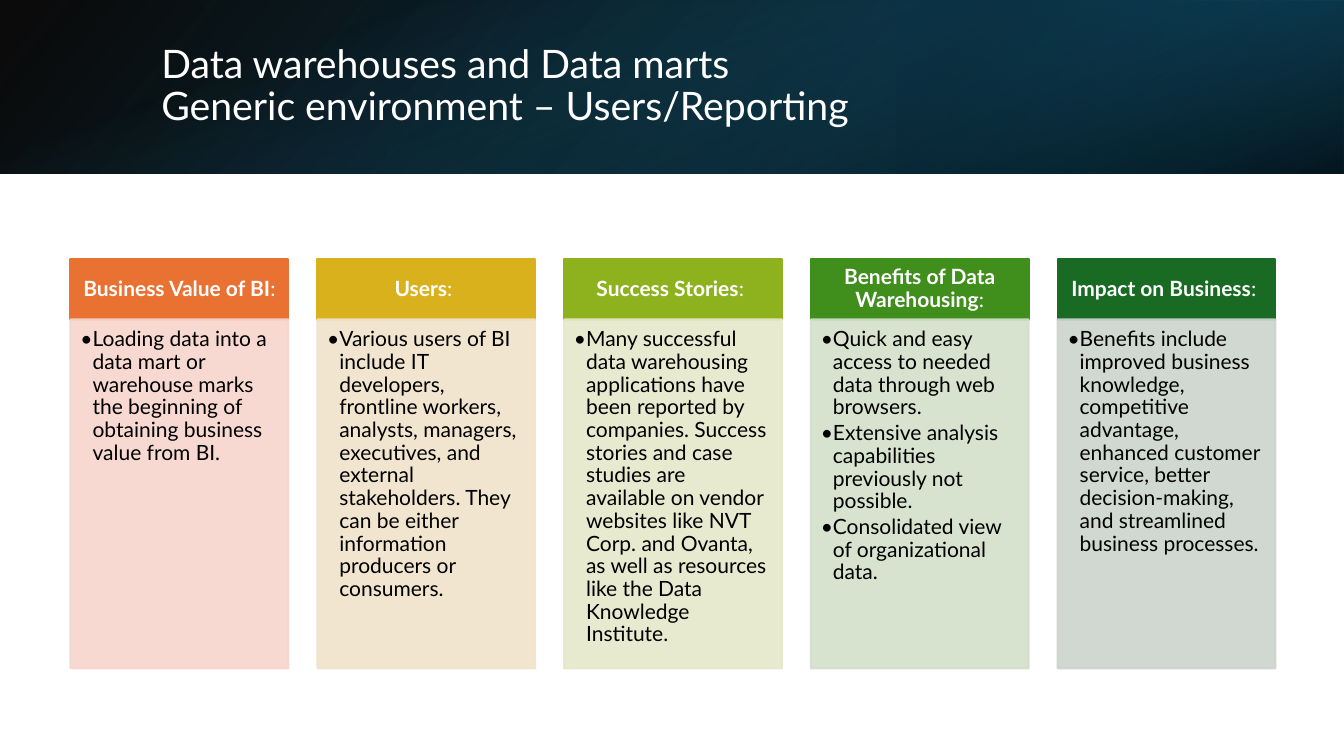
from dataclasses import dataclass
from lxml.etree import SubElement
from pptx import Presentation
from pptx.dml.color import RGBColor
from pptx.enum.shapes import MSO_SHAPE
from pptx.enum.text import MSO_ANCHOR, MSO_AUTO_SIZE, PP_ALIGN
from pptx.oxml.ns import qn
from pptx.util import Inches, Pt


@dataclass
class Theme:
    font: str = "Lato"
    light: str = "FFFFFF"
    dark: str = "000000"
    title_size: int = 28
    text_size: int = 15
    navy: str = "104862"
    deep: str = "0B3041"
    teal: str = "156082"
    headers: tuple = ("E97132", "D8B11D", "8EB21E", "408E1C", "196B24")
    bodies: tuple = ("F7D5CE", "F0E3CB", "E5E8CA", "D3DFCA", "CCD4CD")


theme = Theme()


def add_rectangle(left, top, width, height):
    shape = slide.shapes.add_shape(
        MSO_SHAPE.RECTANGLE, Inches(left), Inches(top), Inches(width), Inches(height))
    shape.shadow.inherit = False
    return shape


def format_font(font, size, color, bold=False):
    for name, value in {"name": theme.font, "size": Pt(size), "bold": bold}.items():
        setattr(font, name, value)
    font.color.rgb = RGBColor.from_string(color)


presentation = Presentation()
presentation.slide_width = Inches(13.33)
presentation.slide_height = Inches(7.5)
slide = presentation.slides.add_slide(presentation.slide_layouts[5])

banner_layers = [
    ((0, 0, 13.33, 1.72), 0, True, 140, [(0, theme.dark, 96), (100, theme.navy, 100)]),
    ((8.89, 0, 4.44, 1.72), 180, True, 320, [(19, theme.deep, 68), (100, theme.teal, 79)]),
    ((5.8, -5.8, 1.72, 13.33), 90, False, 340, [(23, theme.teal, 0), (99, theme.dark, 74)]),
]
for box, rotation, flipped, angle, stops in banner_layers:
    layer = add_rectangle(*box)
    layer.line.fill.background()
    layer.rotation = rotation
    properties = layer._element.spPr
    if flipped:
        properties.xfrm.set("flipH", "1")
    gradient = SubElement(properties, qn("a:gradFill"))
    properties.insert(2, gradient)
    stop_list = SubElement(gradient, qn("a:gsLst"))
    for position, color, opacity in stops:
        stop = SubElement(stop_list, qn("a:gs"), pos=str(position * 1000))
        color_element = SubElement(stop, qn("a:srgbClr"), val=color)
        SubElement(color_element, qn("a:alpha"), val=str(opacity * 1000))
    SubElement(gradient, qn("a:lin"), ang=str(angle * 60000), scaled="0")

title = slide.shapes.title
slide.shapes._spTree.append(title._element)
title_box = {"left": 1.5, "top": 0.38, "width": 10.98, "height": 0.96}
for name, value in title_box.items():
    setattr(title, name, Inches(value))
title.text_frame.text = "Data warehouses and Data marts\vGeneric environment – Users/Reporting"
title.text_frame.auto_size = MSO_AUTO_SIZE.NONE
title.text_frame.vertical_anchor = MSO_ANCHOR.MIDDLE
paragraph = title.text_frame.paragraphs[0]
paragraph.alignment = PP_ALIGN.LEFT
paragraph.line_spacing = 0.9
for run in paragraph.runs:
    format_font(run.font, theme.title_size, theme.light)

columns = [
    ("Business Value of BI", ":", [
        "Loading data into a data mart or warehouse marks the beginning of obtaining "
        "business value from BI."]),
    ("Users", ": ", [
        "Various users of BI include IT developers, frontline workers, analysts, managers, "
        "executives, and external stakeholders. They can be either information producers "
        "or consumers."]),
    ("Success Stories", ": ", [
        "Many successful data warehousing applications have been reported by companies. "
        "Success stories and case studies are available on vendor websites like NVT Corp. "
        "and Ovanta, as well as resources like the Data Knowledge Institute."]),
    ("Benefits of Data Warehousing", ":", [
        "Quick and easy access to needed data through web browsers.",
        "Extensive analysis capabilities previously not possible.",
        "Consolidated view of organizational data."]),
    ("Impact on Business", ": ", [
        "Benefits include improved business knowledge, competitive advantage, enhanced "
        "customer service, better decision-making, and streamlined business processes."]),
]
first_left, last_left, column_width = 0.7, 10.49, 2.16
column_pitch = (last_left - first_left) / (len(columns) - 1)
header_format = {"top": 0.07, "bottom": 0.07, "left": 0.12, "right": 0.12}
body_format = {"top": 0.09, "bottom": 0.13, "left": 0.1, "right": 0.12}

for index, (heading, ending, points) in enumerate(columns):
    left = first_left + column_pitch * index
    header = add_rectangle(left, 2.57, column_width, 0.6)
    body = add_rectangle(left, 3.17, column_width, 3.46)
    for shape, color, margins, anchor in (
            (header, theme.headers[index], header_format, MSO_ANCHOR.MIDDLE),
            (body, theme.bodies[index], body_format, MSO_ANCHOR.TOP)):
        shape.line.width = Pt(1.5)
        for fill in (shape.fill, shape.line.fill):
            fill.solid()
            fill.fore_color.rgb = RGBColor.from_string(color)
        shape.text_frame.word_wrap = True
        shape.text_frame.vertical_anchor = anchor
        for side, value in margins.items():
            setattr(shape.text_frame, f"margin_{side}", Inches(value))
    for color_element in body._element.spPr.iter(qn("a:srgbClr")):
        SubElement(color_element, qn("a:alpha"), val="90000")

    paragraph = header.text_frame.paragraphs[0]
    paragraph.alignment = PP_ALIGN.CENTER
    paragraph.line_spacing = 0.9
    for text, bold in ((heading, True), (ending, False)):
        run = paragraph.add_run()
        run.text = text
        format_font(run.font, theme.text_size, theme.light, bold)

    body.text_frame.text = "\n".join(points)
    for paragraph in body.text_frame.paragraphs:
        paragraph.alignment = PP_ALIGN.LEFT
        paragraph.line_spacing = 0.9
        paragraph.space_after = Pt(2.25)
        settings = paragraph._p.get_or_add_pPr()
        settings.set("marL", str(Inches(0.12)))
        settings.set("indent", str(Inches(-0.12)))
        SubElement(settings, qn("a:buFont"), typeface=theme.font)
        SubElement(settings, qn("a:buChar"), char="•")
        format_font(paragraph.runs[0].font, theme.text_size, theme.dark)

presentation.save("out.pptx")
